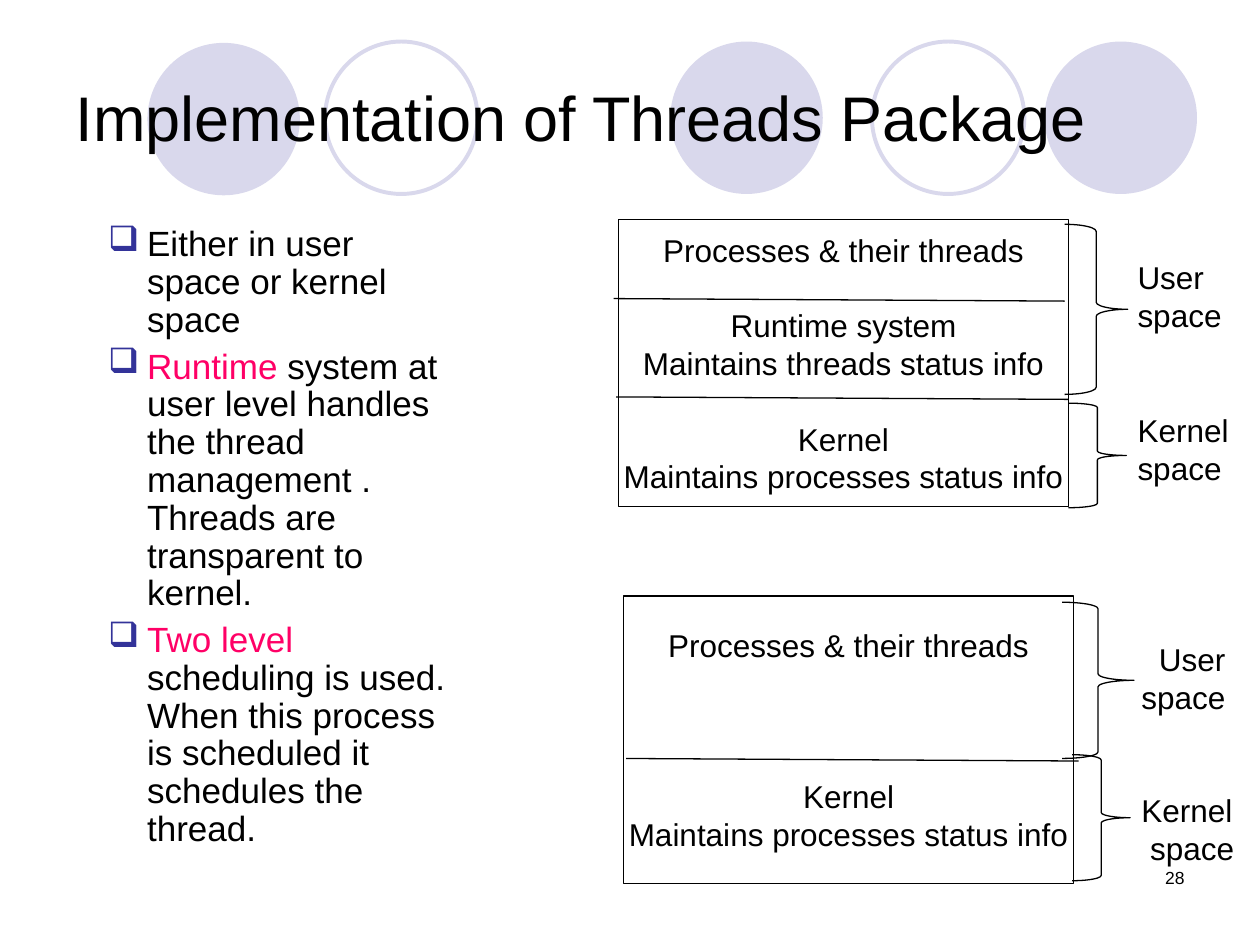
from dataclasses import dataclass

from lxml import etree
from pptx import Presentation
from pptx.dml.color import RGBColor
from pptx.enum.shapes import MSO_CONNECTOR, MSO_SHAPE
from pptx.enum.text import MSO_ANCHOR, PP_ALIGN
from pptx.oxml.ns import qn
from pptx.util import Inches, Pt

OVAL, RECT, BRACE = MSO_SHAPE.OVAL, MSO_SHAPE.RECTANGLE, MSO_SHAPE.RIGHT_BRACE
STRAIGHT = MSO_CONNECTOR.STRAIGHT
LEFT, CENTER, RIGHT = PP_ALIGN.LEFT, PP_ALIGN.CENTER, PP_ALIGN.RIGHT
MIDDLE, TOP = MSO_ANCHOR.MIDDLE, MSO_ANCHOR.TOP


@dataclass(frozen=True)
class Theme:
    font: str = "Arial"
    ink: RGBColor = RGBColor(0x00, 0x00, 0x00)
    lavender: RGBColor = RGBColor(0xD9, 0xD8, 0xEC)
    bullet: str = "333399"
    accent: RGBColor = RGBColor(0xFF, 0x00, 0x66)
    title: int = 36
    body: int = 20
    label: int = 18
    page: int = 10
    line: float = 0.75
    ring: float = 2.25


THEME = Theme()

CIRCLES = [(5.32, 0.33, True), (8.29, 0.33, True), (1.17, 0.34, True),
           (6.92, 0.33, False), (2.58, 0.33, False)]

# Each point: (highlighted words, remaining words)
POINTS = [
    ("", "Either in user space or kernel space"),
    ("Runtime", " system at user level handles the thread management . "
                "Threads are transparent to kernel."),
    ("Two level", " scheduling is used. When this process is scheduled "
                  "it schedules the thread."),
]

# Each label: (text, space before in points, left indent in inches)
USER_LEVEL = dict(
    box=(4.91, 1.74),
    layers=[("Processes & their threads", 0, 0),
            ("Runtime system", 21.6, 0),
            ("Maintains threads status info", 0, 0),
            ("Kernel", 21.6, 0),
            ("Maintains processes status info", 0, 0)],
    dividers=[(4.87, 2.37, 8.45, 2.39), (4.89, 3.15, 8.48, 3.17)],
    braces=[(8.45, 1.78, 0.5, 1.35), (8.48, 3.2, 0.46, 0.83)],
    spaces_at=(8.93, 2, 1.07, 1.92),
    spaces=[("User space", 0, 0), ("Kernel space", 44, 0)],
)
KERNEL_LEVEL = dict(
    box=(4.95, 4.73),
    layers=[("Processes & their threads", 0, 0),
            ("Kernel", 64.8, 0),
            ("Maintains processes status info", 0, 0)],
    dividers=[(4.97, 6.02, 8.56, 6.04)],
    braces=[(8.43, 4.78, 0.57, 1.24), (8.51, 5.99, 0.46, 1)],
    spaces_at=(8.96, 5.03, 1.04, 1.9),
    spaces=[("User", 0, 0.14), ("space", 0, 0),
            ("Kernel", 43.2, 0), ("space", 0, 0.07)],
)


def inches(values):
    return [Inches(value) for value in values]


def add_run(paragraph, text, size, color=THEME.ink):
    run = paragraph.add_run()
    run.text = text
    run.font.name = THEME.font
    run.font.size = Pt(size)
    run.font.color.rgb = color


def next_paragraph(frame, index):
    return frame.add_paragraph() if index else frame.paragraphs[0]


def add_outline(slide, kind, place, color=THEME.ink, weight=THEME.line):
    """Add an unfilled preset shape with a plain line."""
    shape = slide.shapes.add_shape(kind, *inches(place))
    shape.shadow.inherit = False
    shape.fill.background()
    shape.line.color.rgb = color
    shape.line.width = Pt(weight)
    return shape


def add_circle(slide, left, top, filled):
    circle = add_outline(slide, OVAL, (left, top, 1.21, 1.21),
                         THEME.lavender, THEME.ring)
    if filled:
        circle.fill.solid()
        circle.fill.fore_color.rgb = THEME.lavender
        circle.line.fill.background()


def add_title(slide, text):
    title = slide.shapes.title
    title.left, title.top, title.width, title.height = inches((0.5, 0.3, 9, 1.25))
    title.text_frame.vertical_anchor = MIDDLE
    heading = title.text_frame.paragraphs[0]
    heading.alignment = LEFT
    add_run(heading, text, THEME.title)
    # Bring the title in front of the circles
    title._element.getparent().append(title._element)


def add_text_box(slide, place):
    frame = slide.shapes.add_textbox(*inches(place)).text_frame
    frame.word_wrap = True
    frame.vertical_anchor = TOP
    return frame


def set_bullet(paragraph, symbol):
    properties = paragraph._p.get_or_add_pPr()
    properties.set("marL", str(Inches(0.81)))
    properties.set("indent", str(Inches(-0.31)))
    color = etree.SubElement(properties, qn("a:buClr"))
    etree.SubElement(color, qn("a:srgbClr"), val=THEME.bullet)
    etree.SubElement(properties, qn("a:buChar"), char=symbol)


def add_points(slide, points):
    frame = add_text_box(slide, (0.26, 1.75, 3.46, 5.45))
    for index, (highlight, rest) in enumerate(points):
        point = next_paragraph(frame, index)
        point.line_spacing = 0.9
        point.space_before = Pt(5)
        set_bullet(point, "❑")
        if highlight:
            add_run(point, highlight, THEME.body, THEME.accent)
        add_run(point, rest, THEME.body)


def write_labels(frame, labels, alignment):
    for index, (text, gap, indent) in enumerate(labels):
        label = next_paragraph(frame, index)
        label.alignment = alignment
        label.space_before = Pt(gap)
        if indent:
            label._p.get_or_add_pPr().set("marL", str(Inches(indent)))
        add_run(label, text, THEME.label)


def add_divider(slide, ends):
    divider = slide.shapes.add_connector(STRAIGHT, *inches(ends))
    divider.line.color.rgb = THEME.ink
    divider.line.width = Pt(THEME.line)
    etree.SubElement(divider._element.spPr, qn("a:effectLst"))


def add_brace(slide, place):
    brace = add_outline(slide, BRACE, place)
    width, height = place[2:]
    brace.adjustments[0] = height / 24 / width


def add_diagram(slide, box, layers, dividers, braces, spaces_at, spaces):
    """Draw a stack of layers with braces naming its user and kernel space."""
    stack = add_outline(slide, RECT, (*box, 3.57, 2.28)).text_frame
    stack.word_wrap = False
    stack.vertical_anchor = MIDDLE
    write_labels(stack, layers, CENTER)
    for ends in dividers:
        add_divider(slide, ends)
    for place in braces:
        add_brace(slide, place)
    write_labels(add_text_box(slide, spaces_at), spaces, LEFT)


def add_page_number(slide, number):
    page = add_text_box(slide, (7.17, 6.83, 2.33, 0.5)).paragraphs[0]
    page.alignment = RIGHT
    add_run(page, number, THEME.page)


def main():
    deck = Presentation()
    deck.slide_width, deck.slide_height = inches((10, 7.5))
    slide = deck.slides.add_slide(deck.slide_layouts[5])
    for circle in CIRCLES:
        add_circle(slide, *circle)
    add_page_number(slide, "28")
    add_title(slide, "Implementation of Threads Package")
    add_points(slide, POINTS)
    for diagram in (USER_LEVEL, KERNEL_LEVEL):
        add_diagram(slide, **diagram)
    deck.save("out.pptx")


if __name__ == "__main__":
    main()
